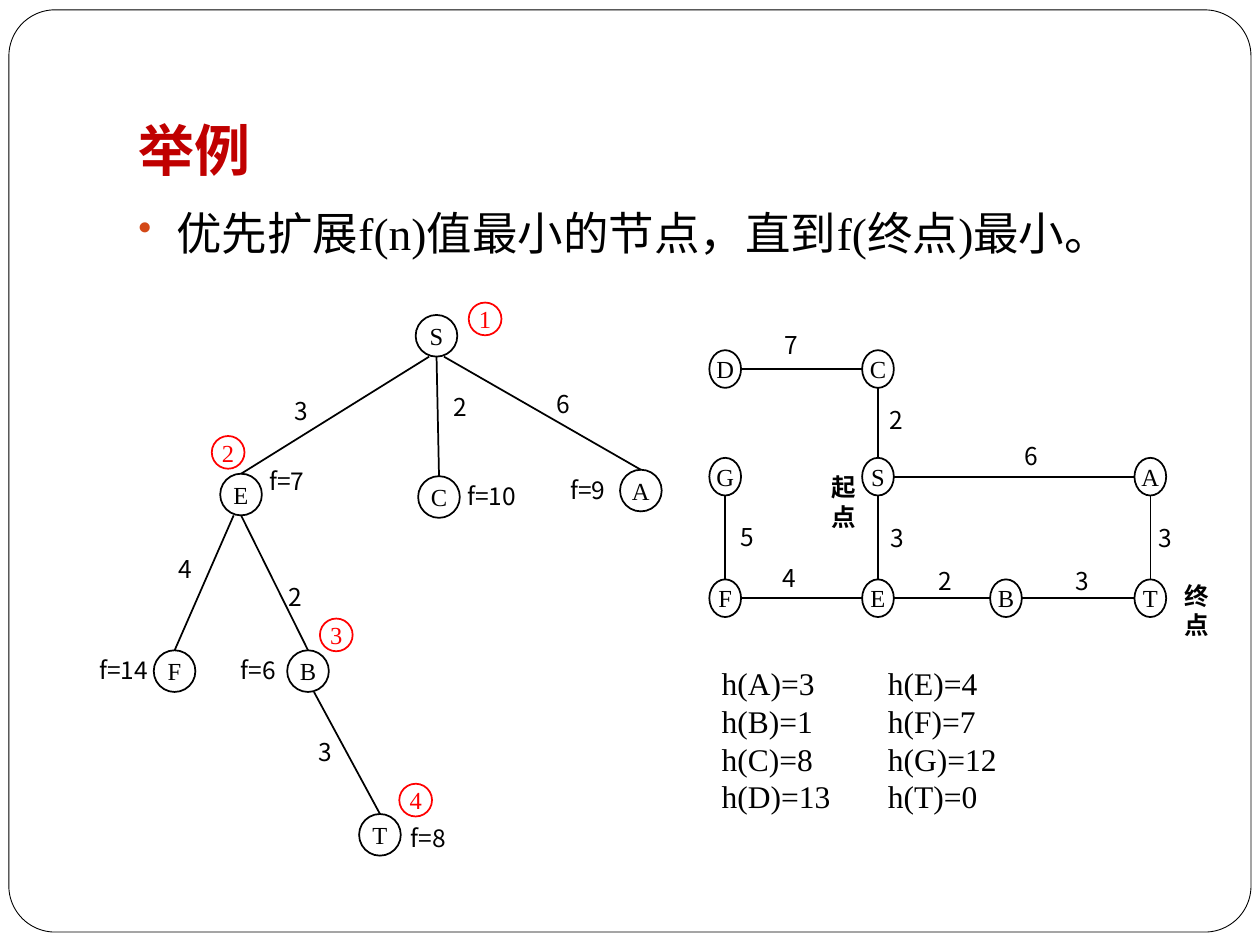
from dataclasses import dataclass

from lxml.etree import SubElement
from pptx import Presentation
from pptx.dml.color import RGBColor
from pptx.enum.shapes import MSO_CONNECTOR, MSO_SHAPE
from pptx.enum.text import MSO_ANCHOR, PP_ALIGN
from pptx.oxml.ns import qn
from pptx.util import Cm, Pt


@dataclass(frozen=True)
class Theme:
    paper: RGBColor = RGBColor(255, 255, 255)
    ink: RGBColor = RGBColor(0, 0, 0)
    heading: RGBColor = RGBColor(192, 0, 0)
    badge: RGBColor = RGBColor(255, 0, 0)
    bullet: str = "D34817"
    serif: str = "Times New Roman"
    sans: str = "Noto Sans CJK SC"
    title_size: int = 32
    body_size: int = 26
    table_size: int = 18
    label_size: int = 14


THEME = Theme()

TREE_NODE = (0.84, 0.84)
TREE_NODES = {
    "S": (8.8, 6.77), "E": (4.86, 9.97), "C": (8.85, 10.02), "A": (12.92, 9.89),
    "F": (3.52, 13.53), "B": (6.21, 13.53), "T": (7.66, 16.83),
}
TREE_EDGES = [("S", "E", -0.15), ("S", "C", 0), ("S", "A", 0.15),
              ("E", "F", -0.15), ("E", "B", 0), ("B", "T", 0.12)]
TREE_WEIGHTS = [("3", 5.69, 7.85), ("2", 8.89, 7.77), ("6", 10.97, 7.72),
                ("4", 3.35, 11.05), ("2", 5.56, 11.61), ("3", 6.17, 14.73)]
TREE_SCORES = [("f=7", 5.18, 9.27), ("f=10", 9.17, 9.58), ("f=9", 11.25, 9.45),
               ("f=14", 1.75, 13.08), ("f=6", 4.6, 13.08), ("f=8", 8.03, 16.46)]
BADGE = (0.66, 0.66)
BADGES = {"1": (9.78, 6.43), "2": (4.6, 9.12), "3": (6.78, 12.8), "4": (8.38, 16.13)}

GRAPH_NODE = (0.64, 0.76)
GRAPH_COLUMNS = (14.62, 17.7, 20.28, 23.19)
GRAPH_ROWS = (7.44, 9.61, 12.06)
GRAPH_GRID = ("DC  ", "GS A", "FEBT")
GRAPH_EDGES = ("DC", "CS", "SA", "GF", "SE", "AT", "FE", "EB", "BT")
GRAPH_WEIGHTS = [("7", 15.57, 6.53), ("2", 17.68, 8.05), ("6", 20.4, 8.76),
                 ("5", 14.68, 10.39), ("3", 17.7, 10.41), ("3", 23.11, 10.41),
                 ("4", 15.52, 11.23), ("2", 18.67, 11.28), ("3", 21.44, 11.28)]
GRAPH_NAMES = [("起点", 16.51, 9.4), ("终点", 23.62, 11.58)]
ESTIMATES = ["h(A)=3\th(E)=4", "h(B)=1\th(F)=7", "h(C)=8\th(G)=12", "h(D)=13\th(T)=0"]


def set_values(target, values):
    for name, value in values.items():
        setattr(target, name, value)


def write(para, text, size, color=THEME.ink, face=THEME.serif, bold=False):
    span = para.add_run()
    span.text = text
    set_values(span.font, {"size": Pt(size), "name": face, "bold": bold})
    span.font.color.rgb = color
    SubElement(span.font._element, qn("a:ea"), typeface=THEME.sans)


def add_text_box(page, place):
    box = page.shapes.add_textbox(*map(Cm, place))
    box.text_frame.word_wrap = True
    return box


def add_shape(page, kind, place, fill=None, line=None, width=1):
    shape = page.shapes.add_shape(kind, *map(Cm, place))
    shape.shadow.inherit = False
    if fill is None:
        shape.fill.background()
    else:
        shape.fill.solid()
        shape.fill.fore_color.rgb = fill
    if line is None:
        shape.line.fill.background()
    else:
        shape.line.color.rgb = line
        shape.line.width = Pt(width)
    return shape


def add_label(page, text, left, top, size, bold=False):
    label = add_shape(page, MSO_SHAPE.RECTANGLE, (left, top, *size), THEME.paper)
    set_values(label.text_frame, {"word_wrap": True, "vertical_anchor": MSO_ANCHOR.TOP})
    para = label.text_frame.paragraphs[0]
    para.alignment = PP_ALIGN.LEFT
    write(para, text, THEME.label_size, face=THEME.sans, bold=bold)


def add_labels(page, labels, size, bold=False):
    for text, left, top in labels:
        add_label(page, text, left, top, size, bold)


def add_circles(page, centers, size, color):
    width, height = size
    for text, (x, y) in centers.items():
        place = (x - width / 2, y - height / 2, width, height)
        circle = add_shape(page, MSO_SHAPE.OVAL, place, line=color)
        set_values(circle.text_frame, {
            "margin_left": 0, "margin_right": 0, "margin_top": 0, "margin_bottom": 0,
            "word_wrap": True, "vertical_anchor": MSO_ANCHOR.MIDDLE,
        })
        para = circle.text_frame.paragraphs[0]
        para.alignment = PP_ALIGN.CENTER
        write(para, text, THEME.label_size, color)


def add_edge(page, *ends):
    edge = page.shapes.add_connector(MSO_CONNECTOR.STRAIGHT, *map(Cm, ends))
    edge.line.color.rgb = THEME.ink
    edge.line.width = Pt(1)
    SubElement(edge._element.spPr, qn("a:effectLst"))


def add_heading(page):
    box = add_text_box(page, (2.54, 0.76, 21.59, 3.18))
    set_values(box.text_frame, {"vertical_anchor": MSO_ANCHOR.BOTTOM, "margin_bottom": Cm(0.25)})
    write(box.text_frame.paragraphs[0], "举例", THEME.title_size, THEME.heading, bold=True)


def add_bullet(page):
    box = add_text_box(page, (2.54, 4.01, 21.59, 12.7))
    para = box.text_frame.paragraphs[0]
    settings = para._p.get_or_add_pPr()
    settings.set("marL", str(Cm(0.76)))
    settings.set("indent", str(-Cm(0.76)))
    color = SubElement(settings, qn("a:buClr"))
    SubElement(color, qn("a:srgbClr"), val=THEME.bullet)
    SubElement(settings, qn("a:buSzPct"), val="85000")
    SubElement(settings, qn("a:buChar"), char="•")
    write(para, "优先扩展f(n)值最小的节点，直到f(终点)最小。", THEME.body_size)


def add_tree(page):
    add_labels(page, TREE_WEIGHTS, (0.91, 0.89))
    add_labels(page, TREE_SCORES, (1.73, 0.89))
    radius = TREE_NODE[1] / 2
    for parent, child, shift in TREE_EDGES:
        start, end = TREE_NODES[parent], TREE_NODES[child]
        add_edge(page, start[0] + shift, start[1] + radius, end[0], end[1] - radius)
    add_circles(page, TREE_NODES, TREE_NODE, THEME.ink)
    add_circles(page, BADGES, BADGE, THEME.badge)


def add_graph(page):
    centers = {
        name: (x, y)
        for y, names in zip(GRAPH_ROWS, GRAPH_GRID)
        for x, name in zip(GRAPH_COLUMNS, names)
        if name != " "
    }
    add_labels(page, GRAPH_WEIGHTS, (0.69, 0.81))
    add_labels(page, GRAPH_NAMES, (1.24, 0.81), bold=True)
    width, height = GRAPH_NODE
    for first, second in GRAPH_EDGES:
        start, end = centers[first], centers[second]
        across = width / 2 if start[1] == end[1] else 0
        down = 0 if across else height / 2
        add_edge(page, start[0] + across, start[1] + down, end[0] - across, end[1] - down)
    add_circles(page, centers, GRAPH_NODE, THEME.ink)


def add_estimates(page):
    box = add_text_box(page, (14.3, 13.26, 6.96, 3.33))
    for index, text in enumerate(ESTIMATES):
        para = box.text_frame.add_paragraph() if index else box.text_frame.paragraphs[0]
        tabs = SubElement(para._p.get_or_add_pPr(), qn("a:tabLst"))
        SubElement(tabs, qn("a:tab"), pos=str(Cm(3.35)), algn="l")
        write(para, text, THEME.table_size)


def main():
    deck = Presentation()
    set_values(deck, {"slide_width": Cm(25.4), "slide_height": Cm(19.05)})
    page = deck.slides.add_slide(deck.slide_layouts[6])
    frame = add_shape(page, MSO_SHAPE.ROUNDED_RECTANGLE, (0.18, 0.2, 25.04, 18.59),
                      THEME.paper, THEME.ink, 0.5)
    frame.adjustments[0] = 0.05
    add_heading(page)
    add_bullet(page)
    add_tree(page)
    add_graph(page)
    add_estimates(page)
    deck.save("out.pptx")


if __name__ == "__main__":
    main()
